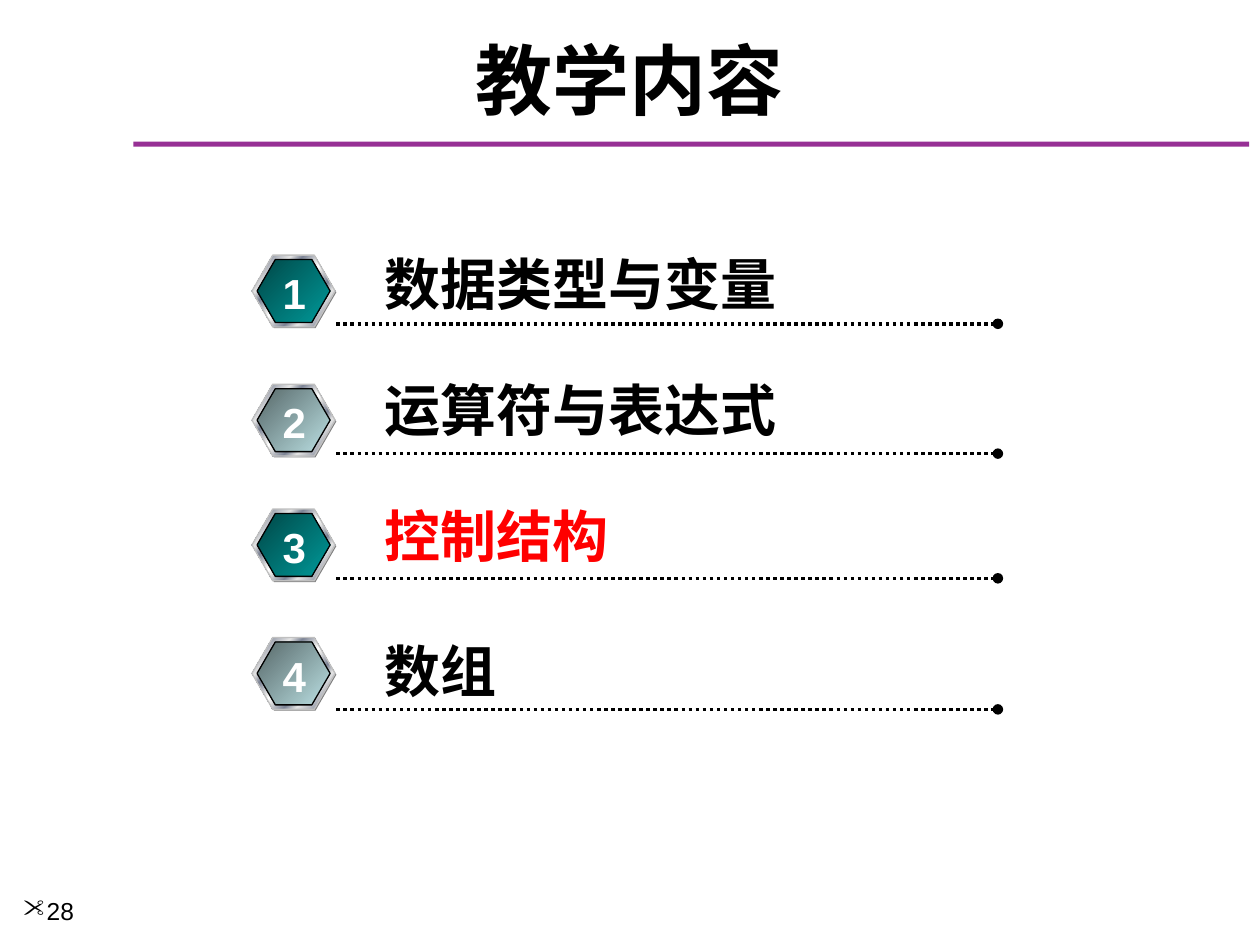
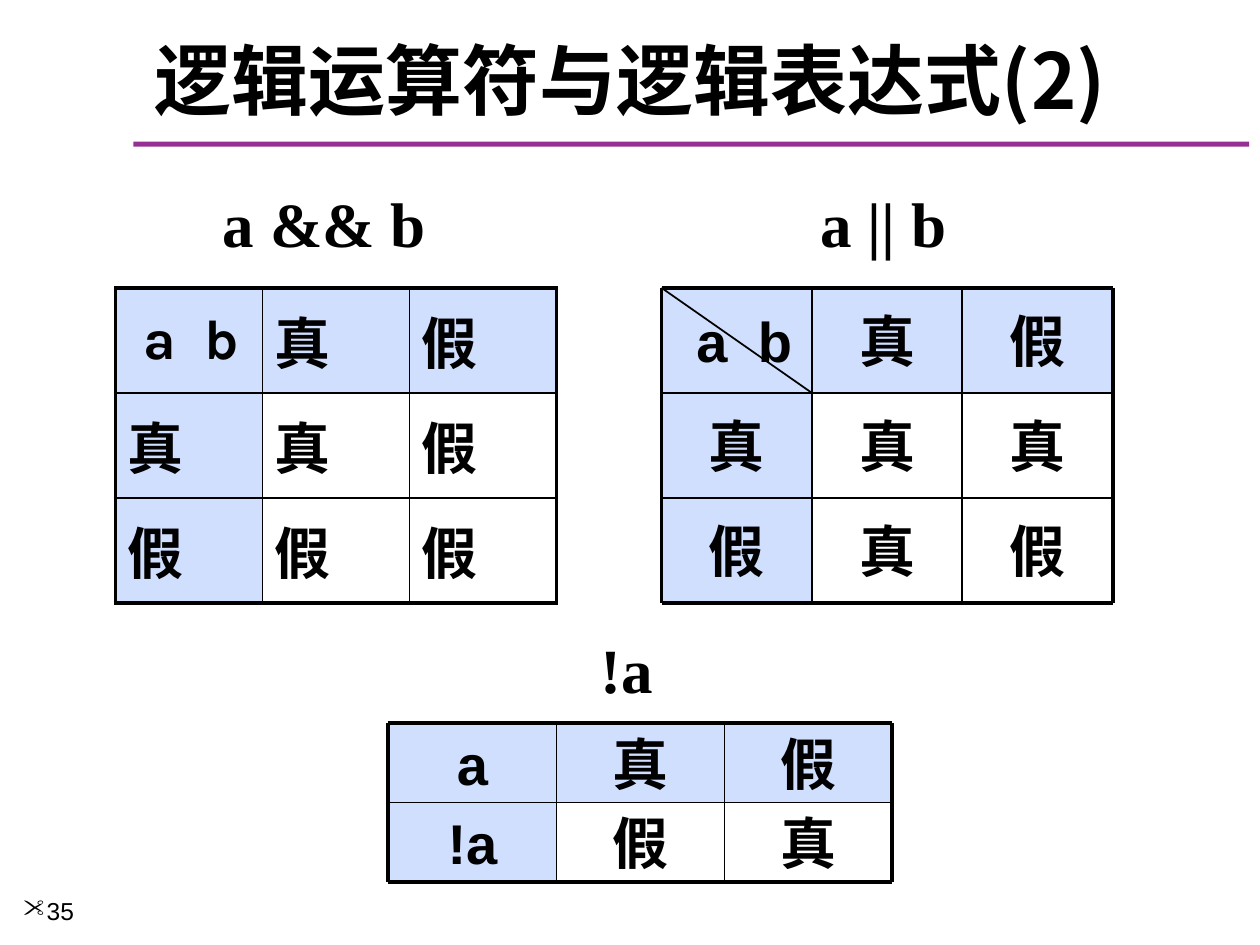
from lxml.etree import SubElement
from pptx import Presentation
from pptx.dml.color import RGBColor
from pptx.enum.dml import MSO_LINE
from pptx.enum.shapes import MSO_CONNECTOR, MSO_SHAPE
from pptx.enum.text import MSO_ANCHOR, MSO_AUTO_SIZE, PP_ALIGN
from pptx.oxml.ns import qn
from pptx.util import Inches, Pt

COLORS = {"ink": "000000", "bar": "973095", "focus": "FF0000", "white": "FFFFFF",
          "header": "A2C1FE", "shadow": "808080", "rim": "C0C0C0"}
CJK, ARIAL, TIMES, KARLA = "Noto Sans CJK SC", "Arial", "Times New Roman", "Karla"
L, M, D = "E6E6E6", "7D8496", "FFFFFF"
CHROME = [(0, L), (8, M), (26, L), (34, M), (46, L), (50, D),
          (54, L), (66, M), (74, L), (92, M), (100, L)]
TEAL = [(0, "004747"), (100, "009999")]
PALE = [(0, "576869"), (100, "BBE0E3")]
COLS, ROWS = 100, 75
THICK, THIN = 2.25, 1
SLIDE_W, SLIDE_H = Inches(10), Inches(7.5)
TOPICS = [("数据类型与变量", "ink", 20.25, 19.3, 25.7), ("运算符与表达式", "ink", 30.5, 29.3, 36),
          ("控制结构", "focus", 40.4, 39.3, 45.9), ("数组", "ink", 50.6, 50, 56.3)]


def rgb(name):
    """Return the named colour."""
    return RGBColor.from_string(COLORS[name])


def grid(x, y, *size):
    """Turn grid columns and rows into slide lengths."""
    steps = (SLIDE_W / COLS, SLIDE_H / ROWS) * 2
    return [round(v * step) for v, step in zip((x, y, *size), steps)]


def add_run(p, text, size, font, color="ink", bold=True):
    """Add one formatted run to a paragraph."""
    r = p.add_run()
    r.text = text
    r.font.size, r.font.bold, r.font.name = Pt(size), bold, font
    r.font.color.rgb = rgb(color)
    rPr = r.font._element
    SubElement(rPr, qn("a:ea")).set("typeface", CJK)
    return rPr


def add_text(s, box, text, size, font, color="ink", align=PP_ALIGN.LEFT, before=0.2):
    """Add a one-line bold text box centred on the height of its box."""
    tf = s.shapes.add_textbox(*grid(*box)).text_frame
    tf.word_wrap = False
    tf.vertical_anchor = MSO_ANCHOR.MIDDLE
    p = tf.paragraphs[0]
    p.alignment, p.space_before = align, Pt(size * before)
    add_run(p, text, size, font, color)


def add_preset(s, preset, box, fill=None, stops=None, line=None):
    """Add a preset shape with a plain or a diagonal gradient fill."""
    sp = s.shapes.add_shape(preset, *grid(*box))
    sp.shadow.inherit = False
    if stops:
        sp.fill.gradient()
        sp.fill.gradient_angle = 315
        gs_list = sp._element.spPr.find(qn("a:gradFill")).find(qn("a:gsLst"))
        for gs in list(gs_list):
            gs_list.remove(gs)
        for pos, color in stops:
            gs = SubElement(gs_list, qn("a:gs"), pos=str(pos * 1000))
            SubElement(gs, qn("a:srgbClr"), val=color)
    else:
        sp.fill.solid()
        sp.fill.fore_color.rgb = rgb(fill)
    if line:
        sp.line.color.rgb = rgb(line)
        sp.line.width = Pt(0.75)
    else:
        sp.line.fill.background()
    return sp


def add_line(s, start, end, width):
    """Add a straight black line."""
    cx = s.shapes.add_connector(MSO_CONNECTOR.STRAIGHT, *grid(*start), *grid(*end))
    cx.line.color.rgb = rgb("ink")
    cx.line.width = Pt(width)
    SubElement(cx._element.spPr, qn("a:effectLst"))
    return cx


def add_base(prs, title, number):
    """Add a slide with the shared title, bar and page number."""
    s = prs.slides.add_slide(prs.slide_layouts[5])
    add_preset(s, MSO_SHAPE.RECTANGLE, (10.6, 11.25, 88.55, 0.4), "bar")
    sp = s.shapes.title
    sp.left, sp.top, sp.width, sp.height = grid(1.65, 2.5, 96.7, 7.5)
    tf = sp.text_frame
    tf.auto_size, tf.vertical_anchor = MSO_AUTO_SIZE.NONE, MSO_ANCHOR.MIDDLE
    p = tf.paragraphs[0]
    p.alignment = PP_ALIGN.CENTER
    add_run(p, title, 44, CJK)
    tf = s.shapes.add_textbox(*grid(0.85, 70.6, 10.8, 4.4)).text_frame
    tf.word_wrap = True
    p = tf.paragraphs[0]
    pPr = p._p.get_or_add_pPr()
    SubElement(pPr, qn("a:buFont"), typeface="Wingdings", charset="2")
    SubElement(pPr, qn("a:buChar"), char='"')
    add_run(p, number, 14, ARIAL, bold=False)
    return s


def add_badge(s, x, y, number):
    """Add a numbered metal-rimmed hexagon."""
    face = TEAL if number % 2 else PALE
    for box, style in (((x + 0.1, y + 0.1, 6.6, 5.7), {"fill": "shadow"}),
                       ((x, y, 6.6, 5.7), {"stops": CHROME, "line": "rim"}),
                       ((x + 0.4, y + 0.35, 5.8, 5), {"stops": face, "line": "ink"})):
        add_preset(s, MSO_SHAPE.HEXAGON, box, **style).adjustments[0] = 0.29
    add_text(s, (x + 1.4, y + 0.5, 3.9, 5), str(number), 24, ARIAL, "white",
             PP_ALIGN.CENTER)


def add_topic(s, x, number, text, color, top, label_top, rule_y):
    """Add one agenda row: dotted rule, label and badge."""
    rule = add_line(s, (x + 6.7, rule_y), (x + 59.2, rule_y), 2)
    rule.line.dash_style = MSO_LINE.ROUND_DOT
    SubElement(rule.line._get_or_add_ln(), qn("a:tailEnd"), type="oval")
    add_text(s, (x + 9.5, label_top, len(text) * 4.5 + 2, 6.4), text, 32, ARIAL,
             color, before=0)
    add_badge(s, x, top, number)


def set_borders(cell, row, col, rows, cols):
    """Draw thick outer and thin inner cell borders."""
    outer = {"L": col == 0, "R": col == cols - 1, "T": row == 0, "B": row == rows - 1}
    tcPr = cell._tc.get_or_add_tcPr()
    for side, edge in outer.items():
        ln = SubElement(tcPr, qn(f"a:ln{side}"), w=str(Pt(THICK if edge else THIN)))
        fill = SubElement(ln, qn("a:solidFill"))
        SubElement(fill, qn("a:srgbClr"), val=COLORS["ink"])


def tint(fill, holder, header):
    """Give header cells a half-transparent fill and clear any other."""
    if not header:
        fill.background()
        return
    fill.solid()
    fill.fore_color.rgb = rgb("header")
    clr = holder.find(qn("a:solidFill")).find(qn("a:srgbClr"))
    SubElement(clr, qn("a:alpha"), val="50000")


def write_cell(tf, text, font, align):
    """Write one truth value or a spaced pair of operands."""
    p = tf.paragraphs[0]
    p.alignment = align
    p.space_before = Pt(2.5 if text.isascii() else 0)
    first, gap, second = text.partition(" ")
    add_run(p, first, 32, font)
    if gap:
        p._p.get_or_add_pPr().set("marL", str(Inches(0.12)))
        add_run(p, gap, 32, font).set("spc", "850")
        add_run(p, second, 32, font)


def add_truth_table(s, box, values):
    """Add a truth table with tinted first row and column."""
    rows, cols = len(values), len(values[0])
    table = s.shapes.add_table(rows, cols, *grid(*box)).table
    table.first_row = table.horz_banding = False
    for i, line in enumerate(values):
        for j, text in enumerate(line):
            cell = table.cell(i, j)
            set_borders(cell, i, j, rows, cols)
            tint(cell.fill, cell._tc.tcPr, i == 0 or j == 0)
            cell.vertical_anchor = MSO_ANCHOR.MIDDLE
            write_cell(cell.text_frame, text, KARLA, PP_ALIGN.LEFT)


def add_ruled_grid(s, box, values):
    """Add a truth grid made of boxes and ruled lines."""
    x, y, w, h = box
    rows, cols = len(values), len(values[0])
    cw, ch = w / cols, h / rows
    for i, line in enumerate(values):
        for j, text in enumerate(line):
            sp = s.shapes.add_shape(MSO_SHAPE.RECTANGLE,
                                    *grid(x + j * cw, y + i * ch, cw, ch))
            sp.shadow.inherit = False
            sp.line.fill.background()
            tint(sp.fill, sp._element.spPr, i == 0 or j == 0)
            sp.text_frame.word_wrap = True
            sp.text_frame.vertical_anchor = MSO_ANCHOR.MIDDLE
            write_cell(sp.text_frame, text, ARIAL, PP_ALIGN.CENTER)
    for i in range(rows + 1):
        add_line(s, (x, y + i * ch), (x + w, y + i * ch), THIN if 0 < i < rows else THICK)
    for j in range(cols + 1):
        add_line(s, (x + j * cw, y), (x + j * cw, y + h), THIN if 0 < j < cols else THICK)


def agenda_slide(prs):
    """Build the agenda."""
    s = add_base(prs, "教学内容", "28")
    for number, topic in enumerate(TOPICS, 1):
        add_topic(s, 20, number, *topic)


def logic_slide(prs):
    """Build the three truth tables."""
    s = add_base(prs, "逻辑运算符与逻辑表达式(2)", "35")
    head = ["a b", "真", "假"]
    add_truth_table(s, (9.15, 22.85, 35, 25), [head, ["真", "真", "假"], ["假", "假", "假"]])
    x, y, w, h = 52.5, 22.85, 35.8, 25
    add_ruled_grid(s, (x, y, w, h), [head, ["真", "真", "真"], ["假", "真", "假"]])
    add_line(s, (x, y), (x + w / 3, y + h / 3), THIN)
    add_ruled_grid(s, (30.83, 57.4, 40, 12.6), [["a", "真", "假"], ["!a", "假", "真"]])
    for text, box in (("a && b", (16.7, 14.15, 18.1, 7)),
                      ("a || b", (64.15, 14.15, 12, 7)), ("!a", (46.7, 49.55, 6.2, 7))):
        add_text(s, box, text, 36, TIMES)


def main():
    """Build and save the slides."""
    prs = Presentation()
    prs.slide_width, prs.slide_height = SLIDE_W, SLIDE_H
    agenda_slide(prs)
    logic_slide(prs)
    prs.save("out.pptx")


if __name__ == "__main__":
    main()
